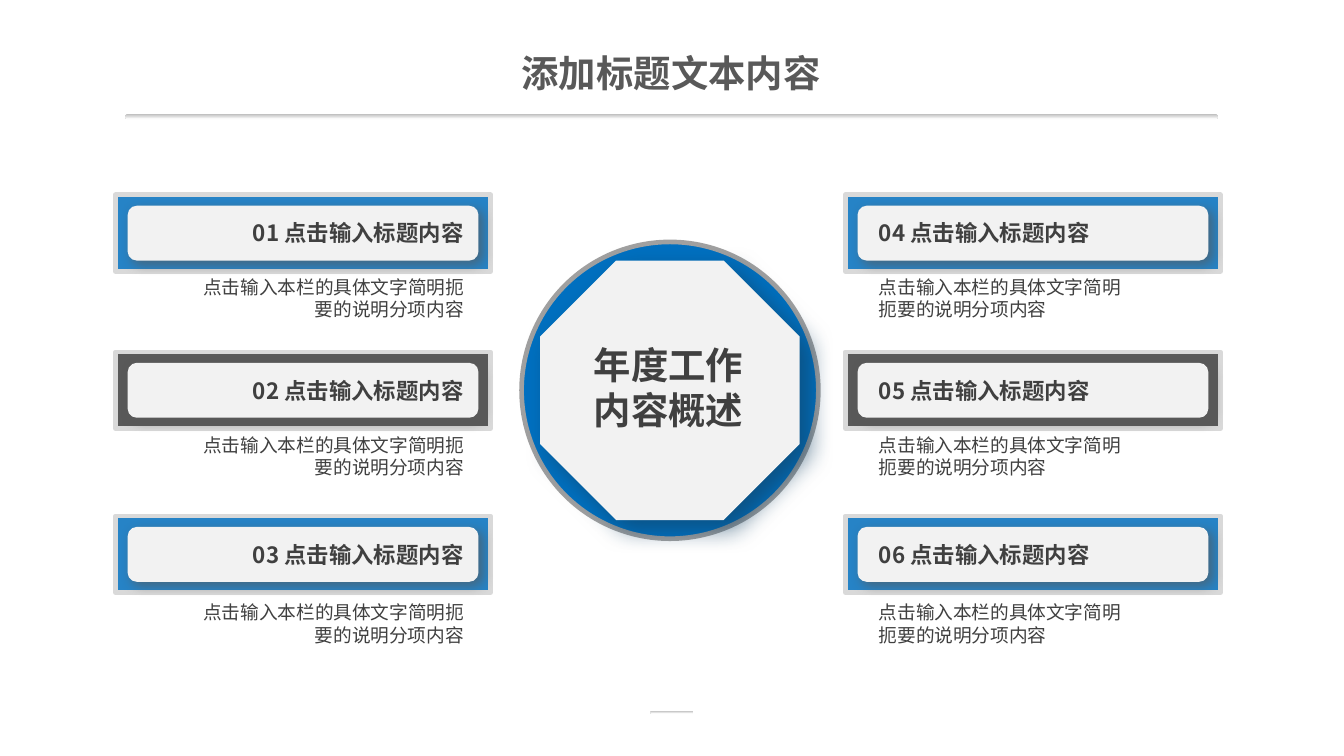
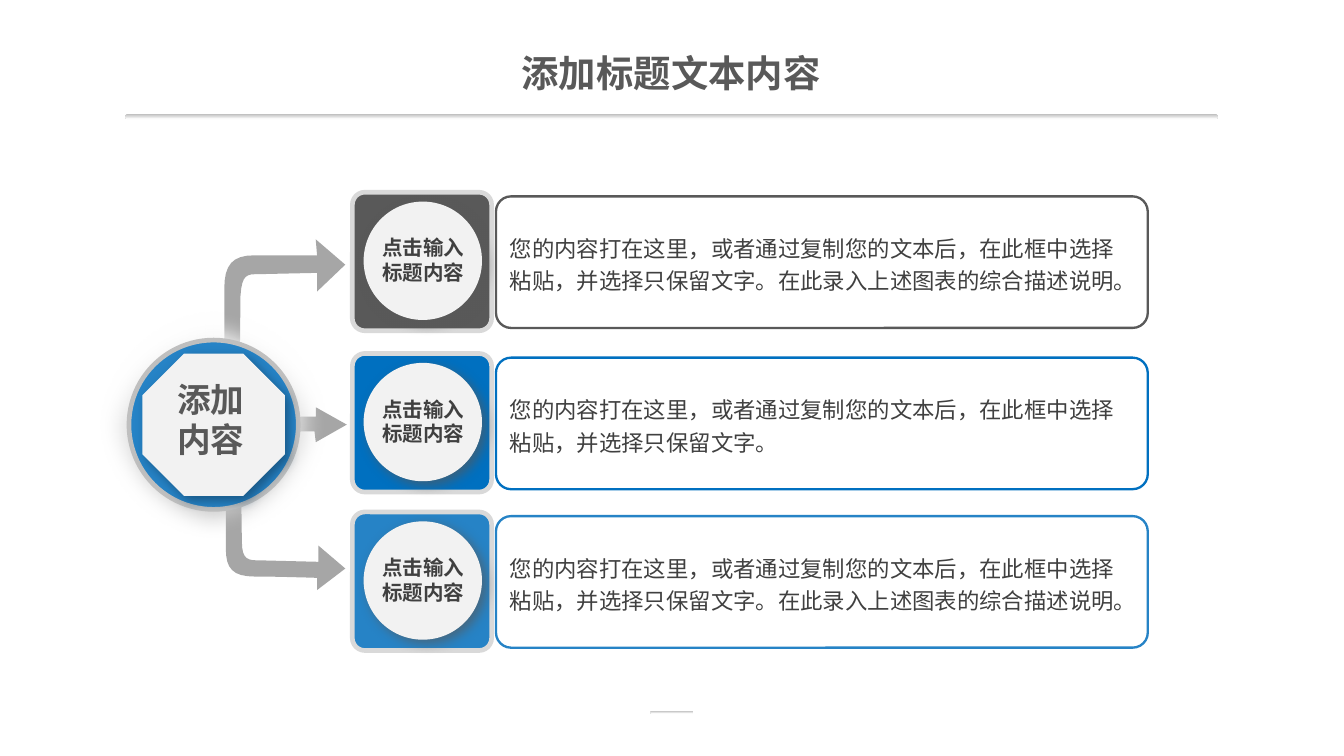
from dataclasses import dataclass
from typing import Optional

import pptx
import pptx.dml.color
import pptx.enum.shapes
import pptx.enum.text
import pptx.oxml
import pptx.oxml.ns
import pptx.util

Pt = pptx.util.Pt
MSO = pptx.enum.shapes.MSO_SHAPE
ALIGN = pptx.enum.text.PP_ALIGN
ANCHOR = pptx.enum.text.MSO_ANCHOR


@dataclass(frozen=True)
class Theme:
    blue: str = "0070C0"
    sky: str = "2683C6"
    navy: str = "134163"
    dark: str = "595959"
    text: str = "404040"
    panel: str = "F2F2F2"
    frame: str = "D9D9D9"
    ring: str = "A0A0A0"
    silver: str = "BFBFBF"
    arrow: str = "A6A6A6"
    white: str = "FFFFFF"
    latin: str = "Arial"
    cjk: str = "Noto Sans CJK SC"
    title: int = 20
    hub: int = 18
    body: int = 12
    label: int = 11
    small: int = 10
    border: float = 2.5
    outline: float = 1.25


T = Theme()


@dataclass(frozen=True)
class Box:
    x: float
    y: float
    w: float
    h: float

    def emu(self) -> tuple:
        return Pt(self.x), Pt(self.y), Pt(self.w), Pt(self.h)

    def inset(self, dx: float, dy: float) -> "Box":
        return Box(self.x + dx, self.y + dy, self.w - 2 * dx, self.h - 2 * dy)


@dataclass(frozen=True)
class Shadow:
    color: str
    blur: float = 6
    dist: float = 3


@dataclass(frozen=True)
class Side:
    card_x: float
    title_x: float
    desc_x: float
    desc_w: float
    align: int


@dataclass(frozen=True)
class CardRow:
    card_y: float
    desc_y: float
    color: str


@dataclass(frozen=True)
class Step:
    y: float
    color: str
    text: str


# ---- Drawing helpers ----
def rgb(color: str):
    return pptx.dml.color.RGBColor.from_string(color)


def add_effect(sp, xml: str) -> None:
    ns = pptx.oxml.ns.nsdecls("a")
    effects = sp._element.spPr.find(pptx.oxml.ns.qn("a:effectLst"))
    effects.append(pptx.oxml.parse_xml(xml.replace(" ", f" {ns} ", 1)))


def style(sp, fill: Optional[str] = None, line: Optional[str] = None, width: float = T.border,
          shadow: Optional[Shadow] = None, gradient: Optional[tuple] = None):
    sp.shadow.inherit = False
    if gradient:
        sp.fill.gradient()
        sp.fill.gradient_angle = 270
        for stop, color in zip(sp.fill.gradient_stops, gradient):
            stop.color.rgb = rgb(color)
    elif fill:
        sp.fill.solid()
        sp.fill.fore_color.rgb = rgb(fill)
    else:
        sp.fill.background()
    if line:
        sp.line.color.rgb = rgb(line)
        sp.line.width = Pt(width)
    else:
        sp.line.fill.background()
    if shadow:
        add_effect(sp, f'<a:outerShdw blurRad="{Pt(shadow.blur)}" dist="{Pt(shadow.dist)}" '
                       f'dir="2700000" algn="tl" rotWithShape="0"><a:srgbClr val="{shadow.color}">'
                       '<a:alpha val="64000"/></a:srgbClr></a:outerShdw>')
    return sp


def shape(shapes, kind, box: Box, adj: Optional[float] = None, **look):
    sp = shapes.add_shape(kind, *box.emu())
    if adj is not None:
        sp.adjustments[0] = adj
    return style(sp, **look)


def write(sp, text: str, size: float, font: str = T.cjk, color: str = T.text, bold: bool = False,
          align=ALIGN.LEFT, anchor=ANCHOR.TOP, margins: tuple = (7.2, 3.6), before: float = 0,
          spacing: Optional[float] = None, grow: bool = False) -> None:
    tf = sp.text_frame
    tf.word_wrap = True
    tf.vertical_anchor = anchor
    tf.margin_left = tf.margin_right = Pt(margins[0])
    tf.margin_top = tf.margin_bottom = Pt(margins[1])
    if grow:
        tf.auto_size = pptx.enum.text.MSO_AUTO_SIZE.SHAPE_TO_FIT_TEXT
    for i, line in enumerate(text.split("\n")):
        p = tf.paragraphs[0] if i == 0 else tf.add_paragraph()
        p.alignment = align
        if before:
            p.space_before = Pt(before * size)
        if spacing:
            p.line_spacing = spacing
        r = p.add_run()
        r.text = line
        r.font.size = Pt(size)
        r.font.bold = bold
        r.font.name = font
        r.font.color.rgb = rgb(color)
        ea = pptx.oxml.parse_xml(f'<a:ea {pptx.oxml.ns.nsdecls("a")} typeface="{T.cjk}"/>')
        r._r.get_or_add_rPr().find(pptx.oxml.ns.qn("a:latin")).addnext(ea)


def label(shapes, box: Box, text: str, size: float, **fmt) -> None:
    write(shapes.add_textbox(*box.emu()), text, size, **fmt)


def outline(shapes, start: tuple, segments: list, fill: str) -> None:
    """Two numbers make a line; six make a cubic curve."""
    points, last = [], start
    for seg in segments:
        if len(seg) == 6:
            x1, y1, x2, y2, x3, y3 = seg
            for k in range(1, 9):
                t = k / 8
                u = 1 - t
                a, b, c, d = u ** 3, 3 * u * u * t, 3 * u * t * t, t ** 3
                points.append((a * last[0] + b * x1 + c * x2 + d * x3,
                               a * last[1] + b * y1 + c * y2 + d * y3))
        else:
            points.append(seg)
        last = seg[-2:]
    fb = shapes.build_freeform(Pt(start[0]), Pt(start[1]))
    fb.add_line_segments([(Pt(x), Pt(y)) for x, y in points], close=True)
    style(fb.convert_to_shape(), fill=fill)


def new_slide(prs):
    s = prs.slides.add_slide(prs.slide_layouts[6])
    for rule in (Box(67, 61.2, 585.4, 2.6), Box(348.5, 380.9, 23, 1.5)):
        shape(s.shapes, MSO.ROUNDED_RECTANGLE, rule, adj=0.5, gradient=(T.silver, T.white))
    label(s.shapes, Box(221, 23.8, 277.2, 29.5), "添加标题文本内容", T.title, font=T.latin,
          color=T.dark, bold=True, align=ALIGN.CENTER, margins=(5, 2.9), grow=True)
    return s


def hub(shapes, box: Box, gap: float, fill: str, ring: str, shadow: Shadow) -> None:
    shape(shapes, MSO.OVAL, box, fill=fill, line=ring)
    shape(shapes, MSO.OCTAGON, box.inset(gap, gap), fill=T.panel, shadow=shadow)


# ---- Slide 1: six cards around a hub ----
SIDES = [Side(61.9, 94.3, 107.4, 141, ALIGN.RIGHT),
         Side(452.9, 470.9, 470.9, 132.5, ALIGN.LEFT)]
ROWS = [CardRow(104.4, 154.8, T.sky), CardRow(188.6, 239.4, T.dark), CardRow(276.5, 329, T.sky)]


def card(s, side: Side, row: CardRow, number: int) -> None:
    box = Box(side.card_x, row.card_y, 200.9, 41)
    g = s.shapes.add_group_shape().shapes
    shape(g, MSO.ROUNDED_RECTANGLE, box, adj=0, fill=row.color, line=T.frame)
    shape(g, MSO.ROUNDED_RECTANGLE, box.inset(6.5, 5.8), fill=T.panel, shadow=Shadow(T.dark))
    label(s.shapes, Box(side.title_x, row.card_y + 9.7, 154.1, 22.3), f"{number:02d} 点击输入标题内容",
          T.body, bold=True, align=side.align, margins=(0, 3.6), before=0.2)
    label(s.shapes, Box(side.desc_x, row.desc_y, side.desc_w, 10),
          "点击输入本栏的具体文字简明扼要的说明分项内容", T.small, align=side.align,
          anchor=ANCHOR.MIDDLE, margins=(0, 3.6), before=0.2)


def overview_slide(prs) -> None:
    s = new_slide(prs)
    for i, side in enumerate(SIDES):
        for j, row in enumerate(ROWS):
            card(s, side, row, i * len(ROWS) + j + 1)
    hub(s.shapes.add_group_shape().shapes, Box(279.4, 129.6, 159, 159), 10, T.blue, T.ring,
        Shadow(T.navy, 13, 7))
    label(s.shapes, Box(298.8, 180, 118.8, 55.4), "年度工作\n内容概述", T.title, bold=True,
          align=ALIGN.CENTER, grow=True)


# ---- Slide 2: one hub leading to three steps ----
BRIEF = "您的内容打在这里，或者通过复制您的文本后，在此框中选择粘贴，并选择只保留文字。"
FULL = BRIEF + "在此录入上述图表的综合描述说明。"
STEPS = [Step(103, T.dark, FULL), Step(189.4, T.blue, BRIEF), Step(274.3, T.sky, FULL)]
ARROWS = [
    ((128.9, 236.9), [(129.6, 290.2), (129.6, 300.2, 133.2, 300.2, 139, 300.2), (170.6, 301),
                      (170.6, 292.3), (185, 304.6), (169.9, 316.1), (169.9, 309.6),
                      (169.9, 309.6, 149, 308.9, 136.8, 308.9),
                      (124.6, 308.9, 121, 304.6, 121, 293.8), (121, 236.2),
                      (121.7, 226.8, 126.7, 227.5, 128.9, 236.9)]),
    ((108.7, 231.8), [(168.5, 231.1), (169.2, 236.9), (185.8, 227.5), (169.2, 218.2),
                      (169.2, 223.2), (108.7, 223.9)]),
    ((128.2, 220.3), [(128.9, 158.4), (129.6, 146.9, 132.5, 146.9, 138.2, 146.9), (169.9, 146.2),
                      (169.9, 156.2), (185, 141.8), (169.2, 128.2), (169.9, 136.8),
                      (169.9, 136.8, 148.3, 136.8, 136.1, 136.8),
                      (124.6, 136.8, 120.2, 141.8, 120.2, 154.8), (120.2, 221.8),
                      (121.7, 232.6, 126.7, 231.1, 128.2, 220.3)]),
]


def step_row(s, step: Step) -> None:
    sp = shape(s.shapes, MSO.ROUNDED_RECTANGLE, Box(265.7, step.y + 2.2, 349.2, 70.5), adj=0.115,
               line=step.color, width=T.outline)
    write(sp, step.text, T.body, anchor=ANCHOR.MIDDLE, margins=(5, 2.2), spacing=1.2)
    g = s.shapes.add_group_shape().shapes
    shape(g, MSO.ROUNDED_RECTANGLE, Box(188.8, step.y, 74.6, 74.2), adj=0.09, fill=step.color,
          line=T.frame)
    shape(g, MSO.OVAL, Box(194.8, step.y + 5, 63.4, 63.4), fill=T.panel, shadow=Shadow(T.dark))
    label(s.shapes, Box(196.6, step.y + 29.5, 60.5, 13.7), "点击输入标题内容", T.label, bold=True,
          align=ALIGN.CENTER, anchor=ANCHOR.MIDDLE, before=0.2)


def steps_slide(prs) -> None:
    s = new_slide(prs)
    for start, segments in ARROWS:
        outline(s.shapes, start, segments, T.arrow)
    for step in STEPS:
        step_row(s, step)
    g = s.shapes.add_group_shape().shapes
    halo = shape(g, MSO.OVAL, Box(51.8, 164.9, 125.3, 125.3), gradient=(T.white, T.silver))
    add_effect(halo, f'<a:softEdge rad="{Pt(12)}"/>')
    hub(g, Box(69.1, 182.2, 90.7, 90.7), 7.2, T.sky, T.silver, Shadow(T.navy))
    label(s.shapes, Box(75.6, 199.4, 74.9, 51.1), "添加\n内容", T.hub, font=T.latin, color=T.dark,
          bold=True, align=ALIGN.CENTER, grow=True)


def main() -> None:
    prs = pptx.Presentation()
    prs.slide_width, prs.slide_height = Pt(720), Pt(405)
    overview_slide(prs)
    steps_slide(prs)
    prs.save("out.pptx")


if __name__ == "__main__":
    main()
